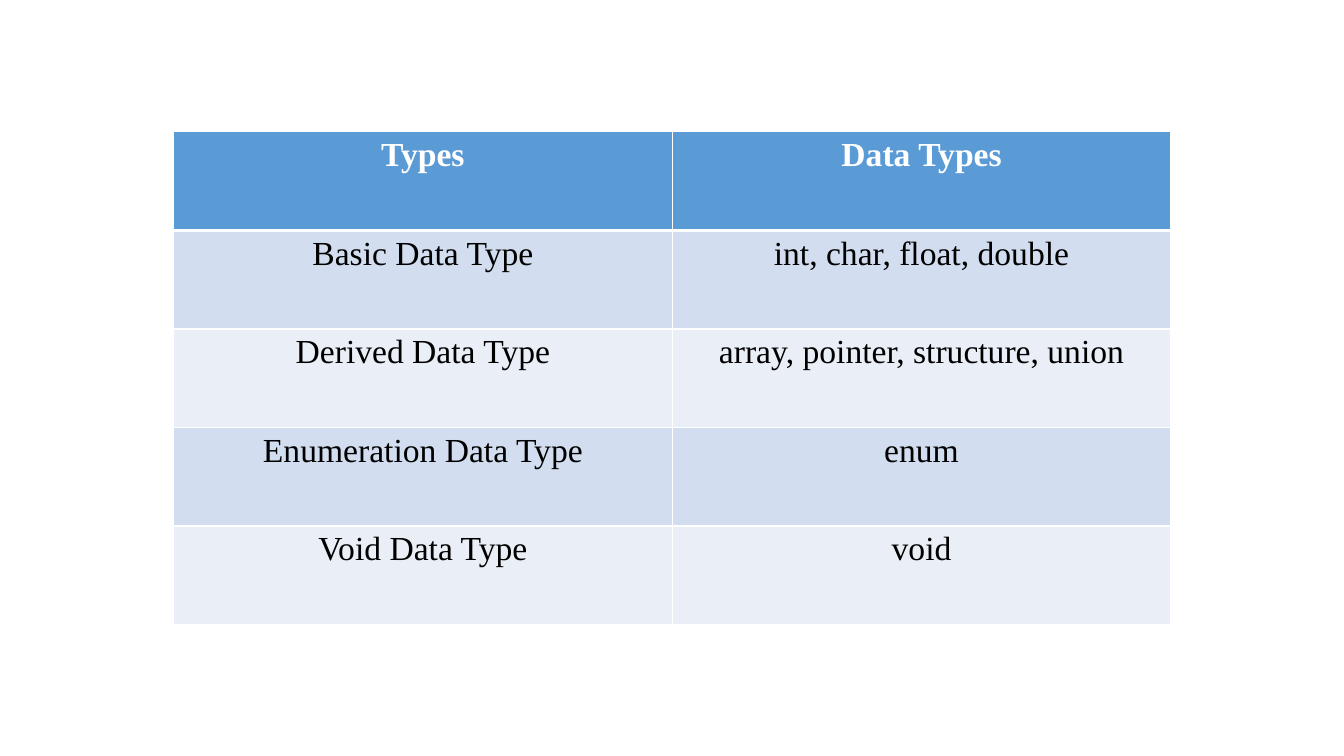
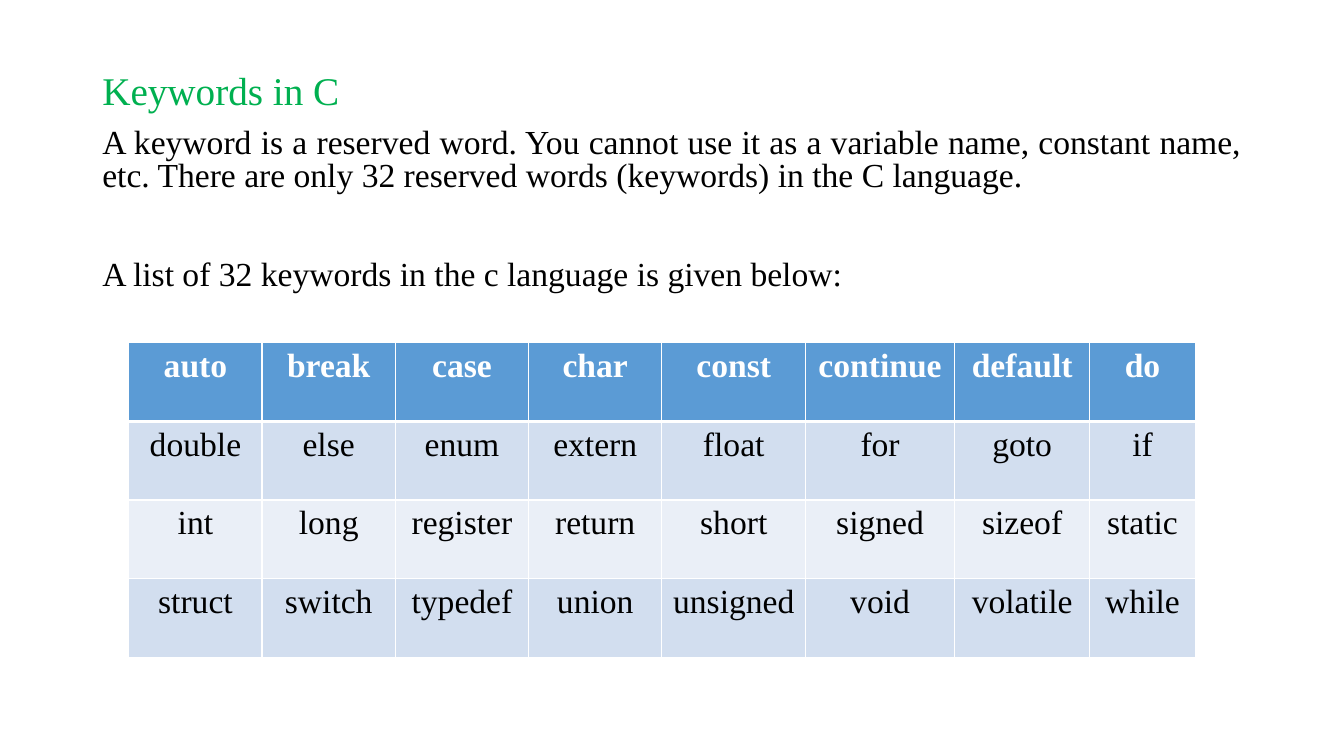
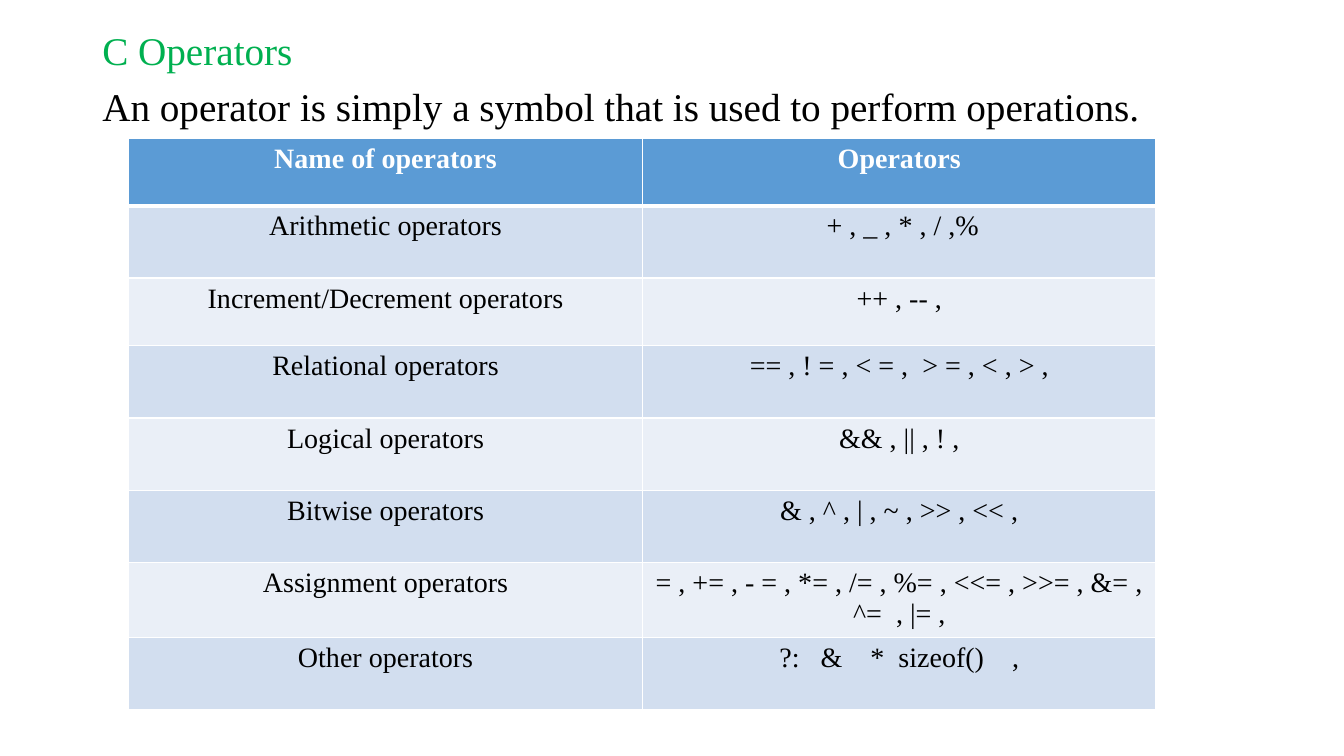
import pptx
import pptx.util
import pptx.dml.color
import pptx.enum.text
import lxml.etree

Pt = pptx.util.Pt
RGB = pptx.dml.color.RGBColor
ALIGN = pptx.enum.text.PP_ALIGN

WHITE = RGB(0xFF, 0xFF, 0xFF)
BLACK = RGB(0, 0, 0)
GREEN = RGB(0x00, 0xB0, 0x50)
BLUE = RGB(0x5B, 0x9B, 0xD5)
BANDS = [RGB(0xD2, 0xDE, 0xEF), RGB(0xEA, 0xEF, 0xF7)]
FONT = "Times New Roman"
DRAW = "http://schemas.openxmlformats.org/drawingml/2006/main"

TYPES = [
    ["Types", "Data Types"],
    ["Basic Data Type", "int, char, float, double"],
    ["Derived Data Type", "array, pointer, structure, union"],
    ["Enumeration Data Type", "enum"],
    ["Void Data Type", "void"],
]
WORDS = [
    ["auto", "break", "case", "char", "const", "continue", "default", "do"],
    ["double", "else", "enum", "extern", "float", "for", "goto", "if"],
    ["int", "long", "register", "return", "short", "signed", "sizeof", "static"],
    ["struct", "switch", "typedef", "union", "unsigned", "void", "volatile", "while"],
]
SIGNS = [
    ["Name of operators", "Operators"],
    ["Arithmetic operators", " + , _ , * , / ,%"],
    ["Increment/Decrement operators", "++ , -- ,"],
    ["Relational operators", ["== , ! = , < = ,", 2, "> = , < , > ,"]],
    ["Logical operators", "&& , || , ! ,"],
    ["Bitwise operators", "& , ^ , | , ~ , >> , << ,"],
    ["Assignment operators",
     ["= , += , - = , *= , /= , %= , <<= , >>= , &= , ^=", 2, ", |= ,"]],
    ["Other operators", ["?:", 3, "&", 4, "*", 2, "sizeof()", 4, ","]],
]


def add_run(para, text, size, color, bold=False):
    run = para.add_run()
    run.text = text
    font = run.font
    font.name, font.size, font.bold = FONT, Pt(size), bold
    font.color.rgb = color
    return run


def add_gap(para, count, size, color):
    run = add_run(para, " ", size, color)
    run.font._element.set("spc", str(25 * size * (count - 1)))


def add_text(slide, box, lines, lead, align):
    frame = slide.shapes.add_textbox(*map(Pt, box)).text_frame
    frame.word_wrap = True
    for index, (text, size, color, before) in enumerate(lines):
        para = frame.add_paragraph() if index else frame.paragraphs[0]
        para.alignment, para.line_spacing = align, lead
        para.space_before = Pt(before)
        add_run(para, text, size, color)


def add_edge(cell, side, width):
    props = cell._tc.get_or_add_tcPr()
    line = lxml.etree.SubElement(props, f"{{{DRAW}}}ln{side}", w=str(Pt(width)))
    fill = lxml.etree.SubElement(line, f"{{{DRAW}}}solidFill")
    lxml.etree.SubElement(fill, f"{{{DRAW}}}srgbClr", val=str(WHITE))


def fill_cell(cell, value, row, size):
    edges = {"L": 1, "R": 1, "T": 3 if row == 1 else 1, "B": 1 if row else 3}
    for side, width in edges.items():
        add_edge(cell, side, width)
    cell.fill.solid()
    cell.fill.fore_color.rgb = BANDS[(row - 1) % 2] if row else BLUE
    cell.margin_bottom = Pt(1.8)
    para = cell.text_frame.paragraphs[0]
    para.alignment = ALIGN.CENTER
    color = BLACK if row else WHITE
    for part in [value] if isinstance(value, str) else value:
        if isinstance(part, int):
            add_gap(para, part, size, color)
        else:
            add_run(para, part, size, color, row == 0)


def add_grid(slide, left, top, widths, heights, data, size):
    table = slide.shapes.add_table(
        len(heights), len(widths), Pt(left), Pt(top),
        Pt(sum(widths)), Pt(sum(heights))).table
    for col, width in zip(table.columns, widths):
        col.width = Pt(width)
    for row, height in zip(table.rows, heights):
        row.height = Pt(height)
    for row, values in enumerate(data):
        for col, value in enumerate(values):
            fill_cell(table.cell(row, col), value, row, size)


def main():
    deck = pptx.Presentation()
    deck.slide_width, deck.slide_height = Pt(960), Pt(540)
    blank = deck.slide_layouts[6]
    types, words, signs = [deck.slides.add_slide(blank) for _ in range(3)]

    add_grid(types, 124, 94.2, [356.2] * 2, [70.4] * 5, TYPES, 24)

    add_text(words, (66, 49.7, 828, 437), [
        ("Keywords in C", 28, GREEN, 0),
        ("A keyword is a reserved word. You cannot use it as a variable name, "
         "constant name, etc. There are only 32 reserved words (keywords) "
         "in the C language.", 24, BLACK, 10),
        ("A list of 32 keywords in the c language is given below:",
         24, BLACK, 46.7),
    ], 0.83, ALIGN.JUSTIFY)
    add_grid(words, 92, 244.8, [95.2] * 4 + [102.7, 106.4, 96.6, 75.4],
             [56.2] * 4, WORDS, 24)

    add_text(signs, (66, 18.7, 828, 508), [
        ("C Operators", 28, GREEN, 0),
        ("An operator is simply a symbol that is used to perform operations.",
         28, BLACK, 10),
    ], 0.9, ALIGN.LEFT)
    add_grid(signs, 92, 98.6, [366.9] * 2,
             [48.4, 51.6, 48.4] + [51.6] * 5, SIGNS, 20)

    deck.save("out.pptx")


if __name__ == "__main__":
    main()
